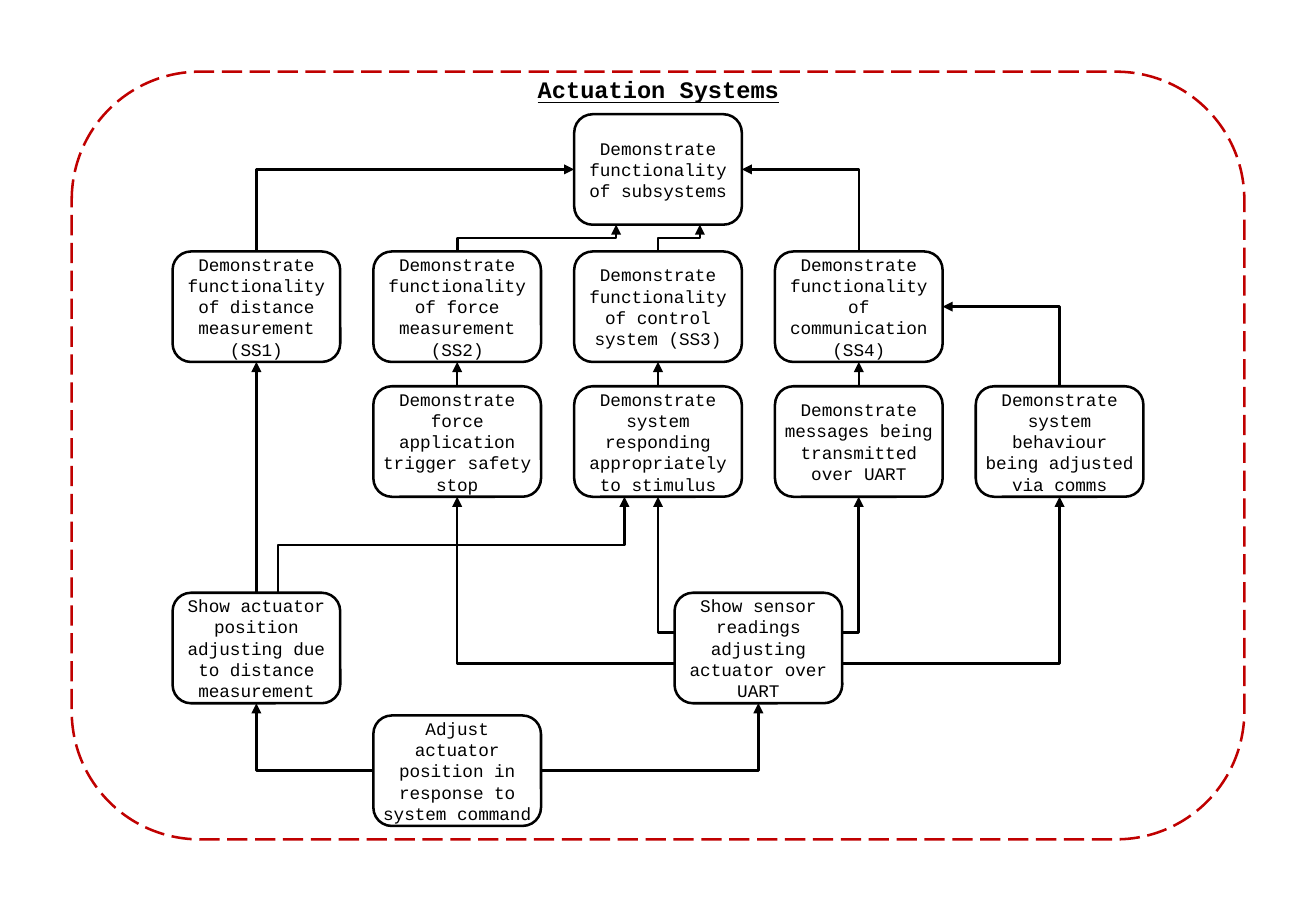
from pptx import Presentation
from pptx.dml.color import RGBColor
from pptx.enum.dml import MSO_LINE
from pptx.enum.shapes import MSO_CONNECTOR, MSO_SHAPE
from pptx.enum.text import MSO_ANCHOR, MSO_AUTO_SIZE, PP_ALIGN
from pptx.oxml.ns import qn
from pptx.util import Inches, Pt
from lxml.etree import SubElement

BLACK = RGBColor(0, 0, 0)
WHITE = RGBColor(255, 255, 255)
RED = RGBColor(0xC0, 0, 0)
FONT = "Courier New"

# Content: name -> (column, row, text)
TITLE = "Actuation Systems"
BOXES = {
    "subsystems": (2, 0, "Demonstrate functionality of subsystems"),
    "distance": (0, 1, "Demonstrate functionality of distance measurement (SS1)"),
    "force": (1, 1, "Demonstrate functionality of force measurement (SS2)"),
    "control": (2, 1, "Demonstrate functionality of control system (SS3)"),
    "communication": (3, 1, "Demonstrate functionality of communication (SS4)"),
    "stop": (1, 2, "Demonstrate force application trigger safety stop"),
    "stimulus": (2, 2, "Demonstrate system responding appropriately to stimulus"),
    "messages": (3, 2, "Demonstrate messages being transmitted over UART"),
    "behaviour": (4, 2, "Demonstrate system behaviour being adjusted via comms"),
    "actuator": (0, 3, "Show actuator position adjusting due to distance measurement"),
    "sensor": (2.5, 3, "Show sensor readings adjusting actuator over UART"),
    "command": (1, 4, "Adjust actuator position in response to system command"),
}

# Points on a box edge, as fractions of its width and height
TOP, BOTTOM, LEFT, RIGHT = (0.5, 0), (0.5, 1), (0, 0.5), (1, 0.5)
ARROWS = [
    ("distance", TOP, "subsystems", LEFT),
    ("force", TOP, "subsystems", (0.25, 1)),
    ("control", TOP, "subsystems", (0.75, 1)),
    ("communication", TOP, "subsystems", RIGHT),
    ("stop", TOP, "force", BOTTOM),
    ("stimulus", TOP, "control", BOTTOM),
    ("messages", TOP, "communication", BOTTOM),
    ("behaviour", TOP, "communication", RIGHT),
    ("actuator", TOP, "distance", BOTTOM),
    ("actuator", (0.63, 0), "stimulus", (0.3, 1)),
    ("sensor", (0, 0.36), "stimulus", BOTTOM),
    ("sensor", (0, 0.64), "stop", BOTTOM),
    ("sensor", (1, 0.36), "messages", BOTTOM),
    ("sensor", (1, 0.64), "behaviour", BOTTOM),
    ("command", LEFT, "actuator", BOTTOM),
    ("command", RIGHT, "sensor", BOTTOM),
]

# Grid in inches
BOX_W, BOX_H = 1.38, 0.91
FIRST_X, LAST_X, COLUMNS = 1.42, 8.03, 5
PITCH = (LAST_X - FIRST_X) / (COLUMNS - 1)
ROWS = [0.94, 2.07, 3.18, 4.88, 5.89]

# (vertical start, rightward) -> rotation, flip across, flip down; all go upward
TURNS = {
    (True, True): (90, True, True),
    (True, False): (270, False, True),
    (False, True): (0, False, True),
    (False, False): (180, False, False),
}


def write(s, text, size=10.5, bold=False, underline=False):
    tf = s.text_frame
    tf.auto_size = MSO_AUTO_SIZE.NONE
    tf.word_wrap = True
    tf.vertical_anchor = MSO_ANCHOR.MIDDLE
    tf.margin_left = tf.margin_right = tf.margin_top = tf.margin_bottom = 0
    p = tf.paragraphs[0]
    p.alignment = PP_ALIGN.CENTER
    r = p.add_run()
    r.text = text
    r.font.name, r.font.size = FONT, Pt(size)
    r.font.bold, r.font.underline = bold, underline
    r.font.color.rgb = BLACK


def add_panel(x, y, w, h, color):
    s = slide.shapes.add_shape(MSO_SHAPE.FLOWCHART_ALTERNATE_PROCESS,
                               Inches(x), Inches(y), Inches(w), Inches(h))
    s.shadow.inherit = False
    s.line.color.rgb, s.line.width = color, Pt(1.5)
    return s


def corner(name):
    column, row, _ = BOXES[name]
    return FIRST_X + column * PITCH, ROWS[row]


def port(name, spot):
    x, y = corner(name)
    return x + spot[0] * BOX_W, y + spot[1] * BOX_H


def add_arrow(source, start, target, end):
    (x1, y1), (x2, y2) = port(source, start), port(target, end)
    straight = abs(x1 - x2) < 0.01
    rotation = 0
    if not straight:
        # Size the unrotated elbow around the midpoint of the two ends
        vertical = start[1] == 0
        rotation, flip_h, flip_v = TURNS[vertical, x2 > x1]
        w, h = abs(x2 - x1), abs(y2 - y1)
        if vertical:
            w, h = h, w
        cx, cy = (x1 + x2) / 2, (y1 + y2) / 2
        x1, x2 = cx - w / 2, cx + w / 2
        y1, y2 = cy - h / 2, cy + h / 2
        if flip_h:
            x1, x2 = x2, x1
        if flip_v:
            y1, y2 = y2, y1
    kind = MSO_CONNECTOR.STRAIGHT if straight else MSO_CONNECTOR.ELBOW
    c = slide.shapes.add_connector(kind, Inches(x1), Inches(y1), Inches(x2), Inches(y2))
    c.line.color.rgb, c.line.width = BLACK, Pt(1.5)
    spPr = c._element.spPr
    if rotation:
        spPr.find(qn("a:xfrm")).set("rot", str(rotation * 60000))
    if not straight and not (vertical and end[1] == 1):
        spPr.find(qn("a:prstGeom")).set("prst", "bentConnector2")
    SubElement(spPr.find(qn("a:ln")), qn("a:tailEnd"), type="triangle")
    SubElement(spPr, qn("a:effectLst"))


prs = Presentation()
prs.slide_width, prs.slide_height = Inches(10.83), Inches(7.5)
slide = prs.slides.add_slide(prs.slide_layouts[5])

# Title
title = slide.shapes.title
title.left, title.top, title.width, title.height = map(Inches, (3.92, 0.59, 3, 0.29))
write(title, TITLE, size=14, bold=True, underline=True)

# Dashed frame
frame = add_panel(0.59, 0.59, 9.65, 6.32, RED)
frame.fill.background()
frame.line.dash_style = MSO_LINE.LONG_DASH

# Arrows, then boxes
for arrow in ARROWS:
    add_arrow(*arrow)
for name, (_, _, text) in BOXES.items():
    box = add_panel(*corner(name), BOX_W, BOX_H, BLACK)
    box.fill.solid()
    box.fill.fore_color.rgb = WHITE
    write(box, text)

prs.save("out.pptx")
